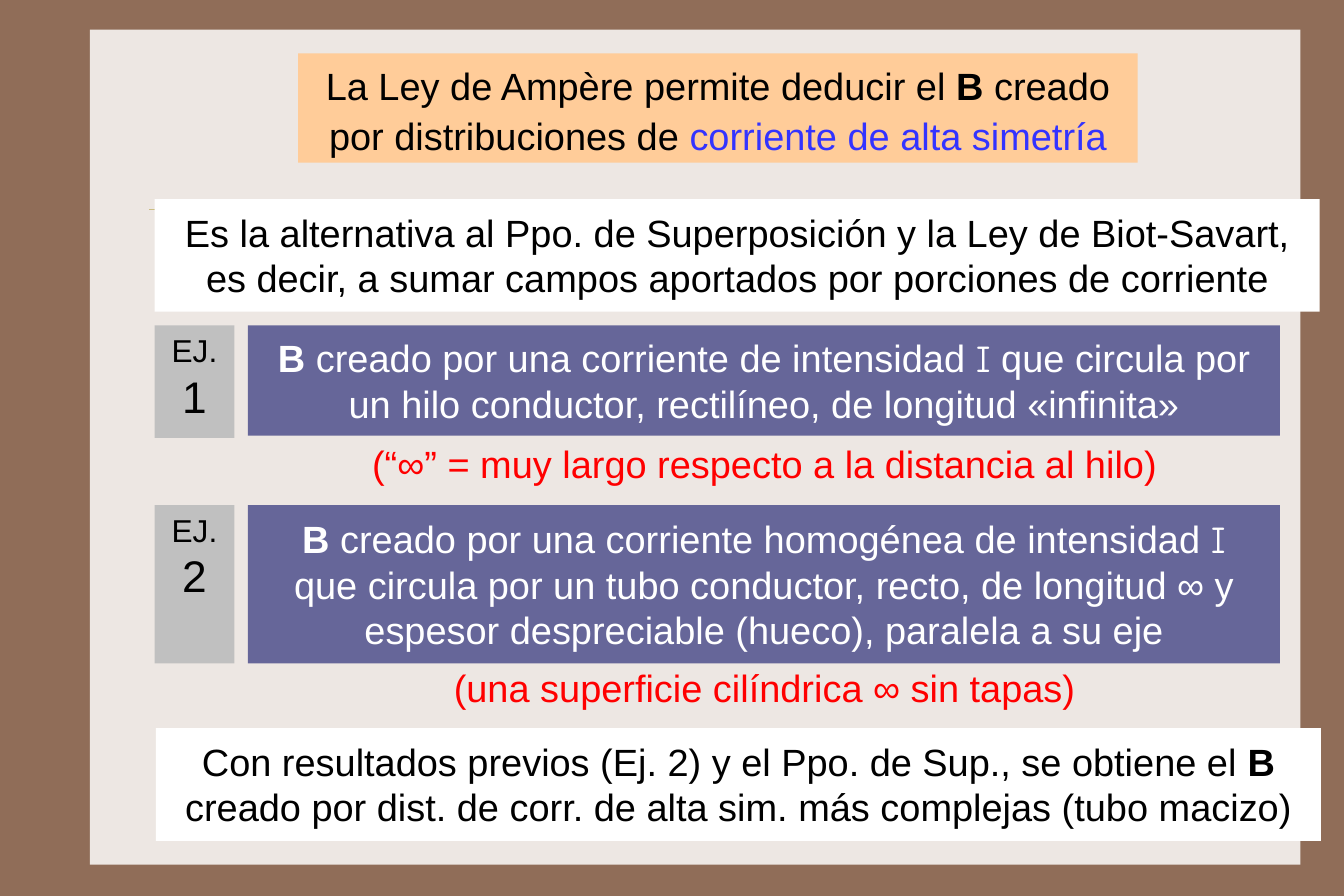
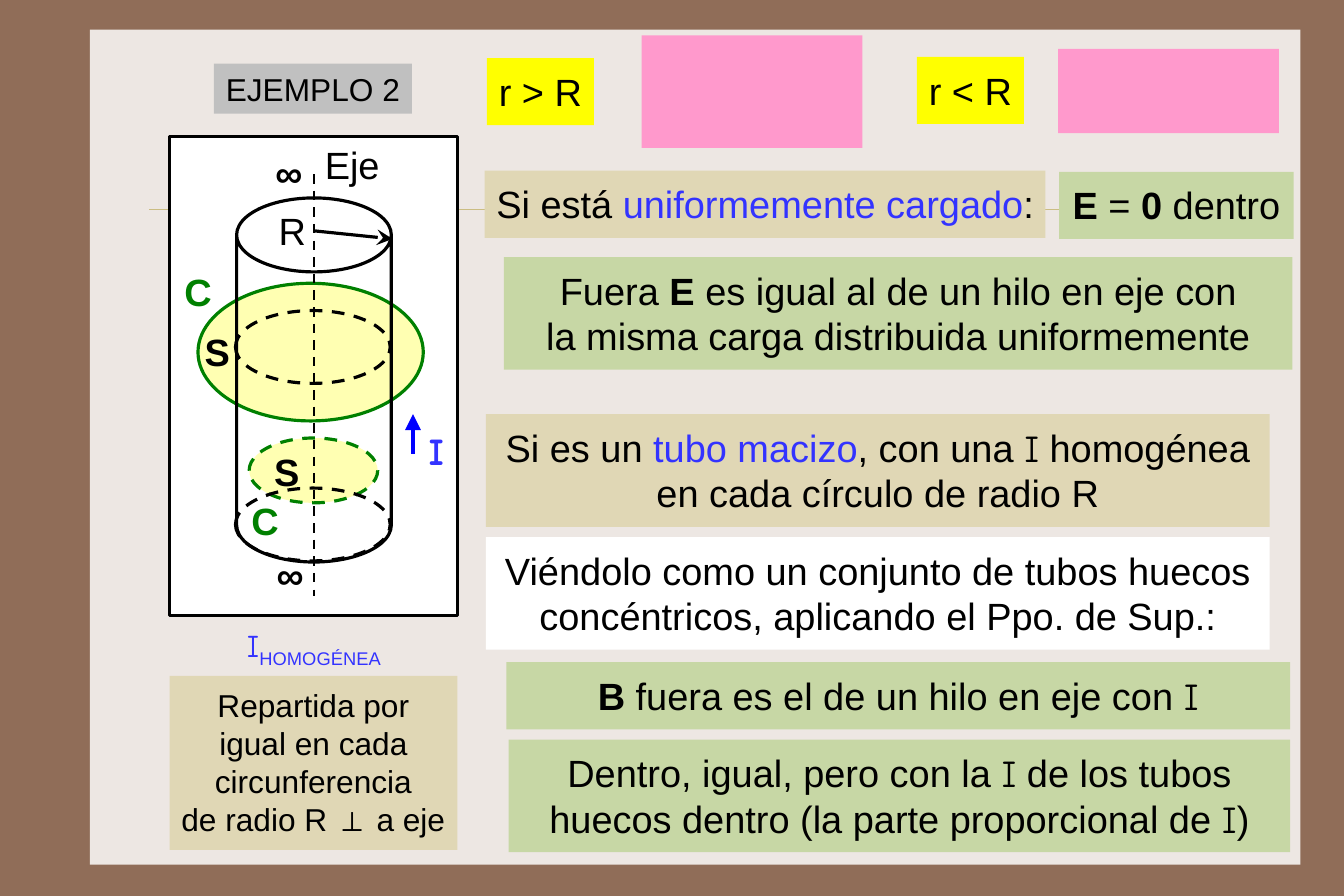
from pptx import Presentation
from pptx.dml.color import RGBColor
from pptx.enum.dml import MSO_LINE
from pptx.enum.shapes import MSO_CONNECTOR, MSO_SHAPE as Preset
from pptx.enum.text import MSO_ANCHOR as Anchor, MSO_AUTO_SIZE, PP_ALIGN
from pptx.oxml.ns import qn
from pptx.util import Pt
from lxml.etree import SubElement

EMU_PER_PX = 9144  # 100 px to the inch
WIDTH, HEIGHT = 1181.25, 787.5  # a 3:2 page

COLORS = {
    "brown": "906D58", "paper": "EDE7E3", "rule": "CBBD83",
    "peach": "FFCC99", "white": "FFFFFF", "black": "000000",
    "violet": "666699", "gray": "C0C0C0", "pink": "FF99CC",
    "yellow": "FFFF00", "pale": "FFFF99", "sand": "E0D7B5",
    "sage": "C7D7A5", "green": "008000", "red": "FF0000",
    "link": "3333FF", "blue": "0000FF",
}

# Run styles: font attributes, plus an optional colour or baseline
STYLES = {
    "plain": {},
    "bold": {"bold": True},
    "current": {"name": "Comic Neue"},
    "link": {"color": "link"},
    "blue current": {"name": "Comic Neue", "color": "link"},
    "bold current": {"name": "Comic Neue", "color": "link", "bold": True},
    "subscript": {"color": "link", "baseline": "-25000"},
    "large": {"size": Pt(28)},
}
B, I = ("B", "bold"), ("I", "current")

# Content: a text is a list of paragraphs, a paragraph is a list of runs
AMPERE_TITLE = [["La Ley de Ampère permite deducir el ", B,
                 " creado por distribuciones de ",
                 ("corriente de alta simetría", "link")]]
STATEMENTS = [
    ((136, 175, 1024, 99),
     [["Es la alternativa al Ppo. de Superposición y la Ley de Biot-Savart,"],
      ["es decir, a sumar campos aportados por porciones de corriente"]]),
    ((137, 640, 1024, 99),
     [["Con resultados previos (Ej. 2) y el Ppo. de Sup., se obtiene el ", B,
       " creado por dist. de corr. de alta sim. más complejas (tubo macizo)"]]),
]
# number, top, tag height, text height, text, note top, note
EXAMPLES = [
    ("1", 286, 99, 97,
     [[B, " creado por una corriente de intensidad ", I,
       " que circula por un hilo conductor, rectilíneo, de longitud «infinita»"]],
     378, "(“∞” = muy largo respecto a la distancia al hilo)"),
    ("2", 444, 139, 139,
     [[B, " creado por una corriente homogénea de intensidad ", I],
      ["que circula por un tubo conductor, recto, de longitud ∞ y espesor "
       "despreciable (hueco), paralela a su eje"]],
     575, "(una superficie cilíndrica ∞ sin tapas)"),
]

TUBE_TITLE = [["EJEMPLO 2"]]
HIDDEN_RESULTS = [(564, 31, 194, 99), (930, 43, 194, 74)]
REGIONS = [((428, 51, 94, 59), "r > R"), ((806, 50, 94, 59), "r < R")]
CONCLUSIONS = [
    ((426, 150, 493, 59), "sand",
     [["Si está ", ("uniformemente cargado", "link"), ":"]]),
    ((931, 151, 206, 59), "sage",
     [[("E", "bold"), " = ", ("0", "bold"), " dentro"]]),
    ((443, 226, 693, 99), "sage",
     [["Fuera ", ("E", "bold"), " es igual al de un hilo en eje con"],
      ["la misma carga distribuida uniformemente"]]),
    ((427, 364, 689, 99), "sand",
     [["Si es un ", ("tubo macizo", "link"), ", con una ", I,
       " homogénea en cada círculo de radio R"]]),
    ((427, 472, 689, 99), "white",
     [["Viéndolo como un conjunto de tubos huecos concéntricos, "
       "aplicando el Ppo. de Sup.:"]]),
    ((445, 582, 689, 59), "sage",
     [[B, " fuera es el de un hilo en eje con ", I]]),
    ((447, 650, 687, 99), "sage",
     [["Dentro, igual, pero con la ", I,
       " de los tubos huecos dentro (la parte proporcional de ", I, ")"]]),
]
CURRENT_NAME = [[("I", "blue current"), ("HOMOGÉNEA", "subscript")]]
CURRENT_MEANING = [["Repartida por"], ["igual en cada circunferencia"],
                   ["de radio R ⊥ a eje"]]

# Tube drawing: preset, place, fill, line colour, dashed
TUBE_PARTS = [
    (Preset.RECTANGLE, (149, 120, 253, 421), "white", "black", False),
    (Preset.OVAL, (174, 249, 198, 121), "pale", "green", False),
    (Preset.OVAL, (207, 273, 136, 64), None, "black", True),
    (Preset.OVAL, (219, 385, 113, 57), "pale", "green", True),
    (Preset.OVAL, (207, 429, 136, 64), None, "black", True),
    (Preset.CAN, (208, 174, 136, 320), None, "black", False),
]
# from, to, colour, width, dashed, arrowhead
TUBE_LINES = [
    ((276, 153), (276, 524), "black", 1.5, True, None),
    ((363, 399), (363, 364), "blue", 2, False, "triangle"),
    ((277, 203), (345, 210), "black", 2, False, "stealth"),
]
TUBE_LABELS = [
    ((170, 280, 42, 59), "S", "bold", "black"),
    ((231, 385, 42, 59), "S", "bold", "black"),
    ((152, 227, 44, 59), "C", "bold", "green"),
    ((211, 428, 44, 59), "C", "bold", "green"),
    ((275, 115, 69, 59), "Eje", "plain", "black"),
    ((235, 173, 44, 59), "R", "plain", "black"),
    ((232, 122, 44, 59), "∞", "bold", "black"),
    ((233, 476, 44, 59), "∞", "bold", "black"),
    ((364, 367, 39, 59), "I", "bold current", "black"),
]


def px(*lengths):
    return [int(length * EMU_PER_PX) for length in lengths]


def rgb(color):
    return RGBColor.from_string(COLORS[color])


def paint(part, fill, line=None, width=2, dashed=False):
    if fill:
        part.fill.solid()
        part.fill.fore_color.rgb = rgb(fill)
    else:
        part.fill.background()
    if line:
        draw_line(part.line, line, width, dashed)
    else:
        part.line.fill.background()


def draw_line(line, color, width, dashed=False):
    line.color.rgb = rgb(color)
    line.width = Pt(width)
    if dashed:
        line.dash_style = MSO_LINE.DASH


def add_part(slide, preset, place, fill, line=None, dashed=False):
    part = slide.shapes.add_shape(preset, *px(*place))
    part.shadow.inherit = False
    paint(part, fill, line, dashed=dashed)
    return part


def add_line(slide, start, end, color, width, dashed=False, head=None):
    line = slide.shapes.add_connector(MSO_CONNECTOR.STRAIGHT, *px(*start, *end))
    draw_line(line.line, color, width, dashed)
    if head:
        SubElement(line.line._get_or_add_ln(), qn("a:tailEnd"),
                   type=head, w="lg", len="lg")
    SubElement(line._element.spPr, qn("a:effectLst"))
    return line


def write(part, paragraphs, size=24, color="black", pad=9, wrap=True,
          anchor=Anchor.TOP, spacing=None):
    frame = part.text_frame
    side, edge = px(10, pad)
    settings = {"margin_left": side, "margin_right": side,
                "margin_top": edge, "margin_bottom": edge,
                "auto_size": MSO_AUTO_SIZE.NONE, "word_wrap": wrap,
                "vertical_anchor": anchor}
    for name, value in settings.items():
        setattr(frame, name, value)
    for index, runs in enumerate(paragraphs):
        paragraph = frame.add_paragraph() if index else frame.paragraphs[0]
        paragraph.alignment = PP_ALIGN.CENTER
        if spacing:
            paragraph.line_spacing = spacing
        for item in runs:
            text, style = (item, "plain") if isinstance(item, str) else item
            run = paragraph.add_run()
            run.text = text
            look = {"name": "Arial", "size": Pt(size), "bold": False,
                    "color": color, **STYLES[style]}
            run.font.color.rgb = rgb(look.pop("color"))
            baseline = look.pop("baseline", None)
            for name, value in look.items():
                setattr(run.font, name, value)
            if baseline:
                run._r.get_or_add_rPr().set("baseline", baseline)


def add_box(slide, place, fill, paragraphs, **options):
    write(add_part(slide, Preset.RECTANGLE, place, fill), paragraphs, **options)


def add_label(slide, place, paragraphs, **options):
    write(slide.shapes.add_textbox(*px(*place)), paragraphs, **options)


def set_title(slide, place, fill, paragraphs, **options):
    title = slide.shapes.title
    title.left, title.top, title.width, title.height = px(*place)
    paint(title, fill)
    write(title, paragraphs, pad=5, anchor=Anchor.MIDDLE, **options)


def dress_layout(layout, slide):
    """Put the brown ground, the paper panel and the rule on the layout."""
    layout.background.fill.solid()
    layout.background.fill.fore_color.rgb = rgb("brown")
    panel = add_part(slide, Preset.RECTANGLE, (79, 26, 1064, 734), "paper")
    rule = add_line(slide, (131, 184), (1122, 184), "rule", 0.25)
    for index, part in enumerate((panel, rule)):
        part._element.xpath(".//p:cNvPr")[0].set("id", str(91 + index))
        layout.shapes._spTree.insert(2 + index, part._element)


def build_ampere(slide):
    set_title(slide, (262, 47, 738, 96), "peach", AMPERE_TITLE, spacing=1.1)
    for place, text in STATEMENTS:
        add_box(slide, place, "white", text)
    for number, top, tag_height, height, text, note_top, note in EXAMPLES:
        add_box(slide, (136, top, 70, tag_height), "gray",
                [["EJ."], [(number, "large")]], size=20, pad=5, wrap=False)
        add_box(slide, (218, top, 907, height), "violet", text,
                color="white", anchor=Anchor.MIDDLE)
        add_label(slide, (300, note_top, 744, 59), [[note]], color="red")


def build_tube(slide):
    set_title(slide, (188, 56, 174, 44), "gray", TUBE_TITLE, size=20, wrap=False)
    # Tube drawing
    for preset, place, fill, line, dashed in TUBE_PARTS:
        part = add_part(slide, preset, place, fill, line, dashed)
        if preset == Preset.CAN:
            part.adjustments[0] = 0.478
        if fill == "pale":
            tint = part._element.spPr.find(qn("a:solidFill"))[0]
            SubElement(tint, qn("a:alpha"), val="75000")
    for line in TUBE_LINES:
        add_line(slide, *line)
    for place, text, style, color in TUBE_LABELS:
        add_label(slide, place, [[(text, style)]], color=color, wrap=False)
    # Current under the drawing
    add_label(slide, (129, 541, 294, 52), CURRENT_NAME, size=20)
    add_box(slide, (149, 594, 253, 153), "sand", CURRENT_MEANING, size=20)
    # Regions and conclusions
    for place in HIDDEN_RESULTS:
        add_part(slide, Preset.RECTANGLE, place, "pink")
    for place, text in REGIONS:
        add_box(slide, place, "yellow", [[text]], wrap=False)
    for place, fill, text in CONCLUSIONS:
        add_box(slide, place, fill, text)


def main():
    deck = Presentation()
    deck.slide_width, deck.slide_height = px(WIDTH, HEIGHT)
    layout = deck.slide_layouts[5]
    slides = [deck.slides.add_slide(layout) for _ in range(2)]
    dress_layout(layout, slides[0])
    build_ampere(slides[0])
    build_tube(slides[1])
    deck.save("out.pptx")


if __name__ == "__main__":
    main()
